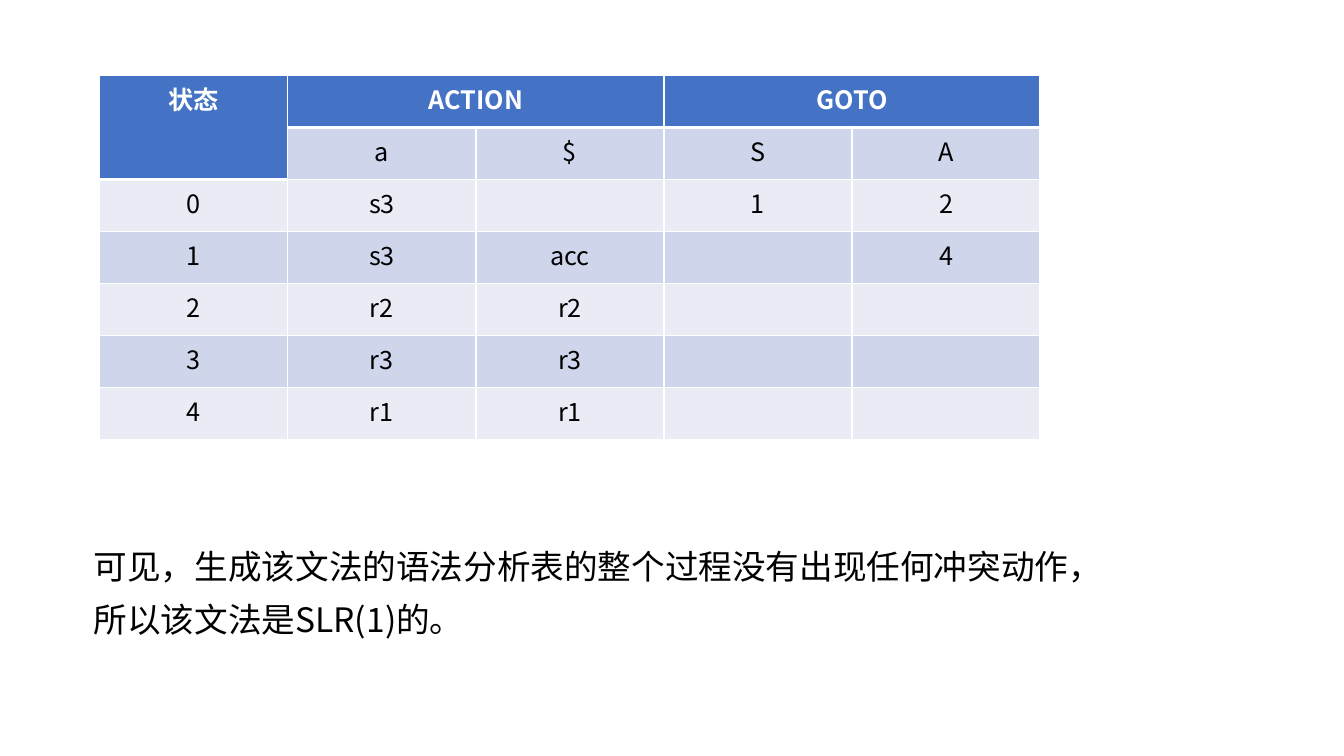
from dataclasses import dataclass

from lxml.etree import SubElement
from pptx import Presentation
from pptx.dml.color import RGBColor
from pptx.enum.text import MSO_ANCHOR, MSO_AUTO_SIZE, PP_ALIGN
from pptx.oxml import parse_xml
from pptx.oxml.ns import nsdecls, qn
from pptx.util import Inches, Pt


@dataclass(frozen=True)
class Theme:
    font: str = "Noto Sans CJK SC"
    header: str = "4472C4"
    bands: tuple = ("E9EBF5", "CFD5EA")
    border: str = "FFFFFF"
    header_text: str = "FFFFFF"
    text: str = "000000"
    cell_size: int = 18
    body_size: int = 24


THEME = Theme()

HEADER_ROWS = [
    ["状态", "ACTION", "", "GOTO", ""],
    ["", "a", "$", "S", "A"],
]
STATE_ROWS = [
    ["0", "s3", "", "1", "2"],
    ["1", "s3", "acc", "", "4"],
    ["2", "r2", "r2", "", ""],
    ["3", "r3", "r3", "", ""],
    ["4", "r1", "r1", "", ""],
]
CONCLUSION = "可见，生成该文法的语法分析表的整个过程没有出现任何冲突动作，所以该文法是SLR(1)的。"


def add_run(p, text, size, color, bold=False):
    r = p.add_run()
    r.text = text
    r.font.name = THEME.font
    r.font.size = Pt(size)
    r.font.bold = bold
    r.font.color.rgb = RGBColor.from_string(color)
    # East Asian glyphs take their own typeface
    SubElement(r.font._element, qn("a:ea"), typeface=THEME.font)


def set_borders(cell, bottom_width):
    tcPr = cell._tc.get_or_add_tcPr()
    widths = {"lnL": 1, "lnR": 1, "lnT": 1, "lnB": bottom_width}
    for i, (side, width) in enumerate(widths.items()):
        tcPr.insert(i, parse_xml(
            f'<a:{side} {nsdecls("a")} w="{Pt(width)}"><a:solidFill>'
            f'<a:srgbClr val="{THEME.border}"/></a:solidFill></a:{side}>'))


def format_cell(cell, text, fill, is_header):
    cell.fill.solid()
    cell.fill.fore_color.rgb = RGBColor.from_string(fill)
    set_borders(cell, 3 if is_header else 1)
    p = cell.text_frame.paragraphs[0]
    p.alignment = PP_ALIGN.CENTER
    if text:
        color = THEME.header_text if is_header else THEME.text
        add_run(p, text, THEME.cell_size, color, is_header)


def add_parse_table(slide, rows, left, top, col_width, row_height):
    n_rows, n_cols = len(rows), len(rows[0])
    frame = slide.shapes.add_table(n_rows, n_cols, left, top,
                                   col_width * n_cols, row_height * n_rows)
    table = frame.table
    for col in table.columns:
        col.width = col_width
    for i, row in enumerate(rows):
        table.rows[i].height = row_height
        for j, text in enumerate(row):
            # The state heading reaches down into the second row
            is_header = i == 0 or (i == 1 and j == 0)
            fill = THEME.header if is_header else THEME.bands[i % 2]
            format_cell(table.cell(i, j), text, fill, is_header)
    table.cell(0, 0).merge(table.cell(1, 0))
    for j in (1, 3):
        table.cell(0, j).merge(table.cell(0, j + 1))


def fill_body(sp, text, left, top, width, height):
    sp.left, sp.top, sp.width, sp.height = left, top, width, height
    tf = sp.text_frame
    tf.word_wrap = True
    tf.auto_size = MSO_AUTO_SIZE.NONE
    tf.vertical_anchor = MSO_ANCHOR.TOP
    p = tf.paragraphs[0]
    p.alignment = PP_ALIGN.LEFT
    p.line_spacing = Pt(38)
    p.space_before = Pt(10)
    # Plain paragraph: no bullet, no indent
    pPr = p._p.get_or_add_pPr()
    pPr.set("marL", "0")
    pPr.set("indent", "0")
    SubElement(pPr, qn("a:buNone"))
    add_run(p, text, THEME.body_size, THEME.text)


def main():
    prs = Presentation()
    prs.slide_width, prs.slide_height = Inches(13.33), Inches(7.5)
    slide = prs.slides.add_slide(prs.slide_layouts[1])

    # This slide has no title
    title = slide.shapes.title._element
    title.getparent().remove(title)

    # Conclusion below the table
    fill_body(slide.placeholders[1], CONCLUSION,
              Inches(0.83), Inches(5.24), Inches(10.28), Inches(1.11))

    # SLR parsing table
    add_parse_table(slide, HEADER_ROWS + STATE_ROWS,
                    Inches(0.99), Inches(0.75), Inches(1.865), Inches(0.516))

    prs.save("out.pptx")


if __name__ == "__main__":
    main()
